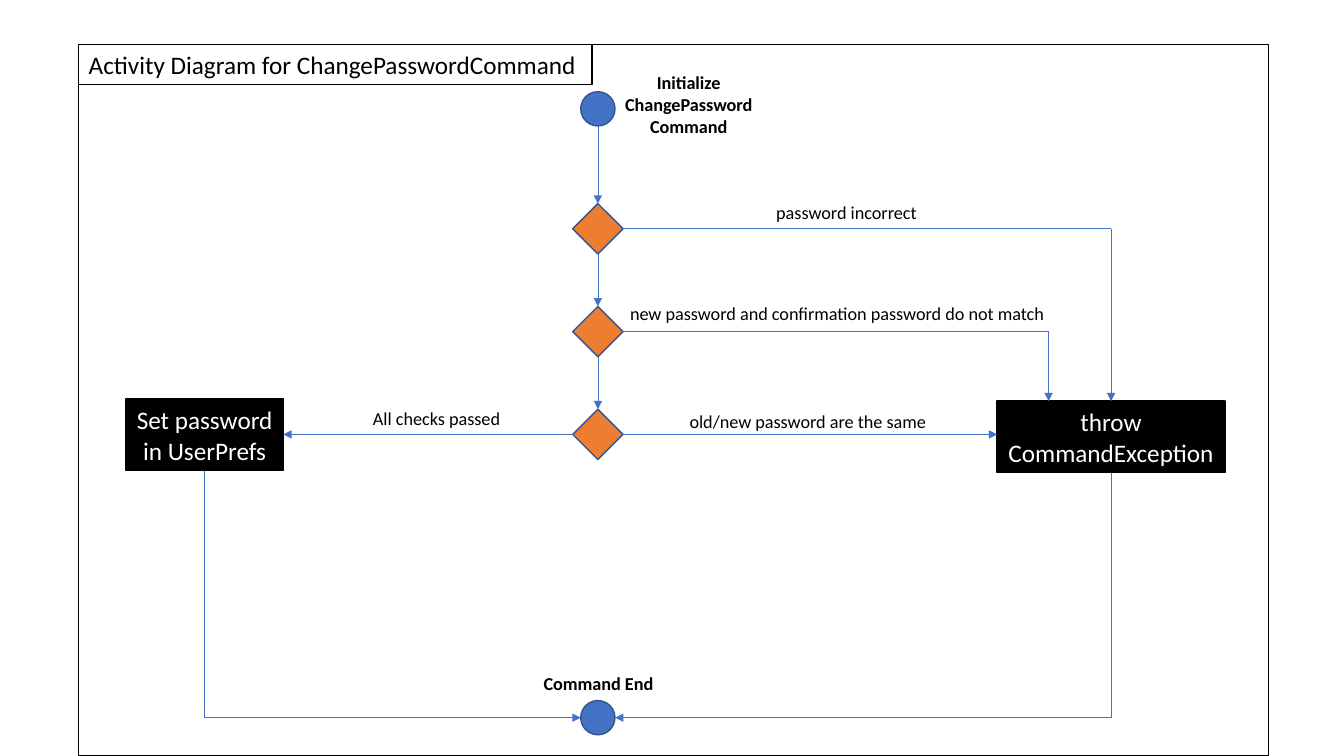
import itertools

import pptx
import pptx.dml.color
import pptx.enum.shapes
import pptx.enum.text
import pptx.oxml
import pptx.oxml.ns
import pptx.util

Inches = pptx.util.Inches
Pt = pptx.util.Pt
RGBColor = pptx.dml.color.RGBColor
Shape = pptx.enum.shapes.MSO_SHAPE
Align = pptx.enum.text.PP_ALIGN
Anchor = pptx.enum.text.MSO_ANCHOR

BLACK = RGBColor(0x00, 0x00, 0x00)
WHITE = RGBColor(0xFF, 0xFF, 0xFF)
BLUE = RGBColor(0x44, 0x72, 0xC4)
NAVY = RGBColor(0x32, 0x54, 0x91)
ORANGE = RGBColor(0xED, 0x7D, 0x31)

LABEL = {"name": "Calibri", "size": Pt(13), "bold": False}
STRONG = {**LABEL, "bold": True}
LARGE = {**LABEL, "size": Pt(18)}

# Flow geometry, in inches
MID = 5.93      # centre of the main column
DOT = 0.34      # circle size
GEM = 0.5       # diamond size
START, END = 1.08, 7.12
CHECKS = (2.27, 3.29, 4.31)
SET_X, THROW_X = 2.03, 11.02


def paint(shape, fill, line):
    if fill is None:
        shape.fill.background()
    else:
        shape.fill.solid()
        shape.fill.fore_color.rgb = fill
    shape.line.color.rgb = line
    shape.line.width = Pt(1)


def write(shape, text, style, color=BLACK, align=Align.LEFT, anchor=Anchor.TOP):
    frame = shape.text_frame
    frame.text = text
    layout = {"word_wrap": False, "vertical_anchor": anchor,
              "auto_size": pptx.enum.text.MSO_AUTO_SIZE.NONE}
    for key, value in layout.items():
        setattr(frame, key, value)
    for para in frame.paragraphs:
        para.alignment = align
        for key, value in style.items():
            setattr(para.font, key, value)
        para.font.color.rgb = color


def add_shape(slide, kind, place, fill, line):
    shape = slide.shapes.add_shape(kind, *map(Inches, place))
    shape.shadow.inherit = False
    paint(shape, fill, line)
    return shape


def add_node(slide, kind, y, size, fill):
    place = (MID - size / 2, y - size / 2, size, size)
    add_shape(slide, kind, place, fill, NAVY)


def add_action(slide, place, text):
    box = add_shape(slide, Shape.RECTANGLE, place, BLACK, BLACK)
    write(box, text, LARGE, WHITE, Align.CENTER, Anchor.MIDDLE)


def add_label(slide, place, text, style=LABEL, align=Align.LEFT):
    box = slide.shapes.add_textbox(*map(Inches, place))
    write(box, text, style, align=align)


def add_route(slide, *points):
    """Join the points with straight lines; the last one ends in an arrow."""
    for start, end in itertools.pairwise(points):
        line = slide.shapes.add_connector(
            pptx.enum.shapes.MSO_CONNECTOR.STRAIGHT, *map(Inches, start + end))
        line.line.color.rgb = BLUE
        line.line.width = Pt(0.5)
        props = line._element.spPr
        pptx.oxml.ns.qn("a:effectLst")
        props.append(props.makeelement(pptx.oxml.ns.qn("a:effectLst"), {}))
    tail = props.makeelement(pptx.oxml.ns.qn("a:tailEnd"), {"type": "triangle"})
    line.line._get_or_add_ln().append(tail)


def add_title(slide, place, text):
    title = slide.shapes.title
    for key, value in zip(("left", "top", "width", "height"), place):
        setattr(title, key, Inches(value))
    paint(title, WHITE, BLACK)
    write(title, text, LARGE, anchor=Anchor.MIDDLE)


def main():
    deck = pptx.Presentation()
    deck.slide_width, deck.slide_height = Inches(13.33), Inches(7.5)
    slide = deck.slides.add_slide(deck.slide_layouts[5])

    # Frame and title
    add_title(slide, (0.78, 0.44, 5.09, 0.4),
              "Activity Diagram for ChangePasswordCommand")
    add_shape(slide, Shape.RECTANGLE, (0.78, 0.44, 11.8, 7.06), None, BLACK)

    # Start, end and checks
    for y in (START, END):
        add_node(slide, Shape.OVAL, y, DOT, BLUE)
    for y in CHECKS:
        add_node(slide, Shape.DIAMOND, y, GEM, ORANGE)

    # Actions
    add_action(slide, (1.25, 3.96, 1.56, 0.71), "Set password\nin UserPrefs")
    add_action(slide, (9.89, 3.98, 2.26, 0.71), "throw\nCommandException")

    # Main column
    tops = [y - GEM / 2 for y in CHECKS]
    ends = [START + DOT / 2] + [y + GEM / 2 for y in CHECKS]
    for top, end in zip(ends, tops):
        add_route(slide, (MID, top), (MID, end))

    # Branches
    first, second, third = CHECKS
    left, right = MID - GEM / 2, MID + GEM / 2
    add_route(slide, (right, first), (THROW_X, first), (THROW_X, 3.98))
    add_route(slide, (right, second), (10.4, second), (10.4, 3.98))
    add_route(slide, (right, third), (9.89, third))
    add_route(slide, (left, third), (2.81, third))

    # Paths to the end
    add_route(slide, (SET_X, 4.67), (SET_X, END), (MID - DOT / 2, END))
    add_route(slide, (THROW_X, 4.69), (THROW_X, END), (MID + DOT / 2, END))

    # Labels
    add_label(slide, (6.09, 0.66, 1.48, 0.76),
              "Initialize\nChangePassword\nCommand", STRONG, Align.CENTER)
    add_label(slide, (5.28, 6.62, 1.31, 0.32), "Command End", STRONG, Align.CENTER)
    add_label(slide, (7.6, 1.95, 1.62, 0.32), "password incorrect")
    add_label(slide, (6.15, 2.95, 4.38, 0.32),
              "new password and confirmation password do not match")
    add_label(slide, (6.74, 4.02, 2.59, 0.32), "old/new password are the same")
    add_label(slide, (3.6, 3.99, 1.49, 0.32), "All checks passed")

    deck.save("out.pptx")


if __name__ == "__main__":
    main()
